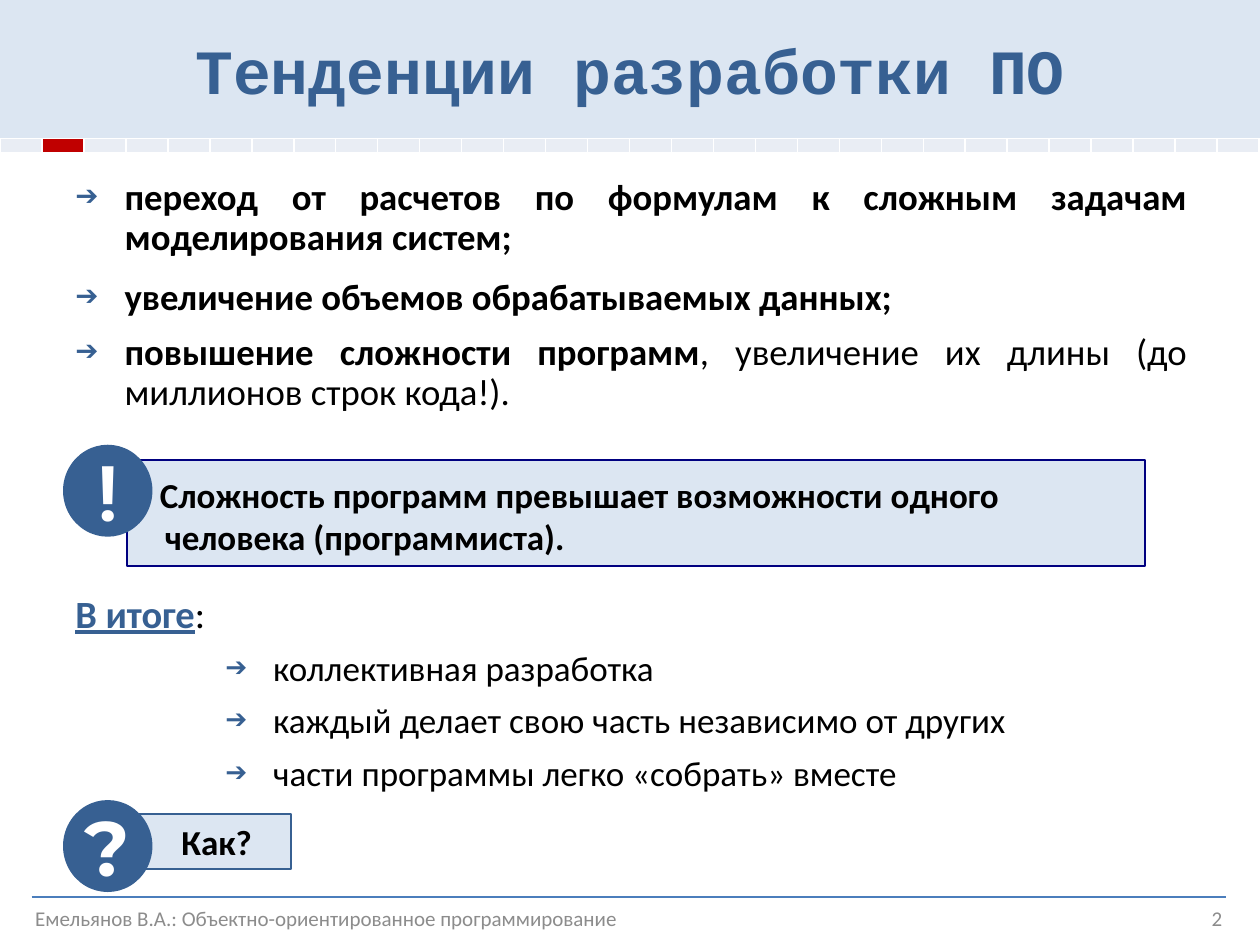
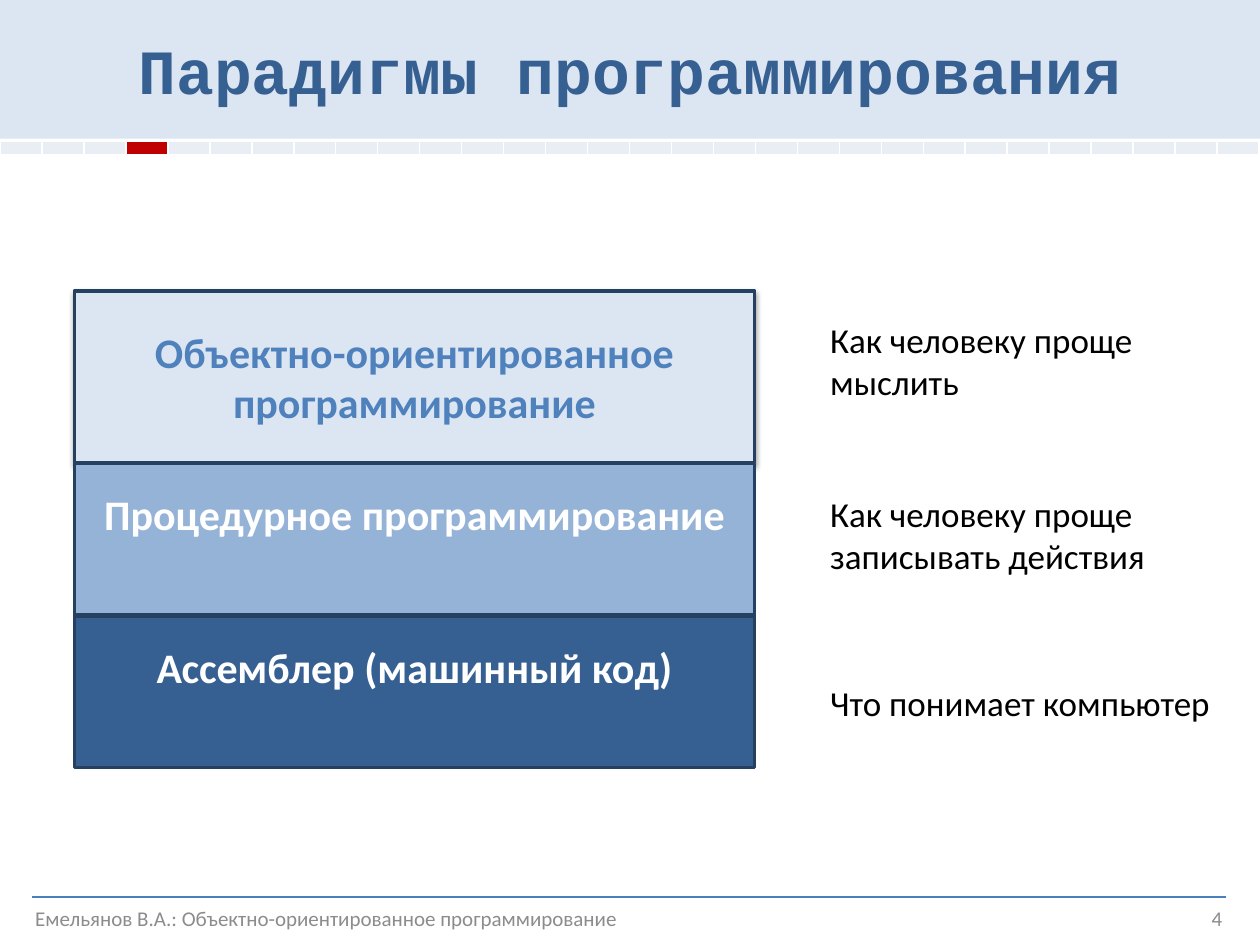
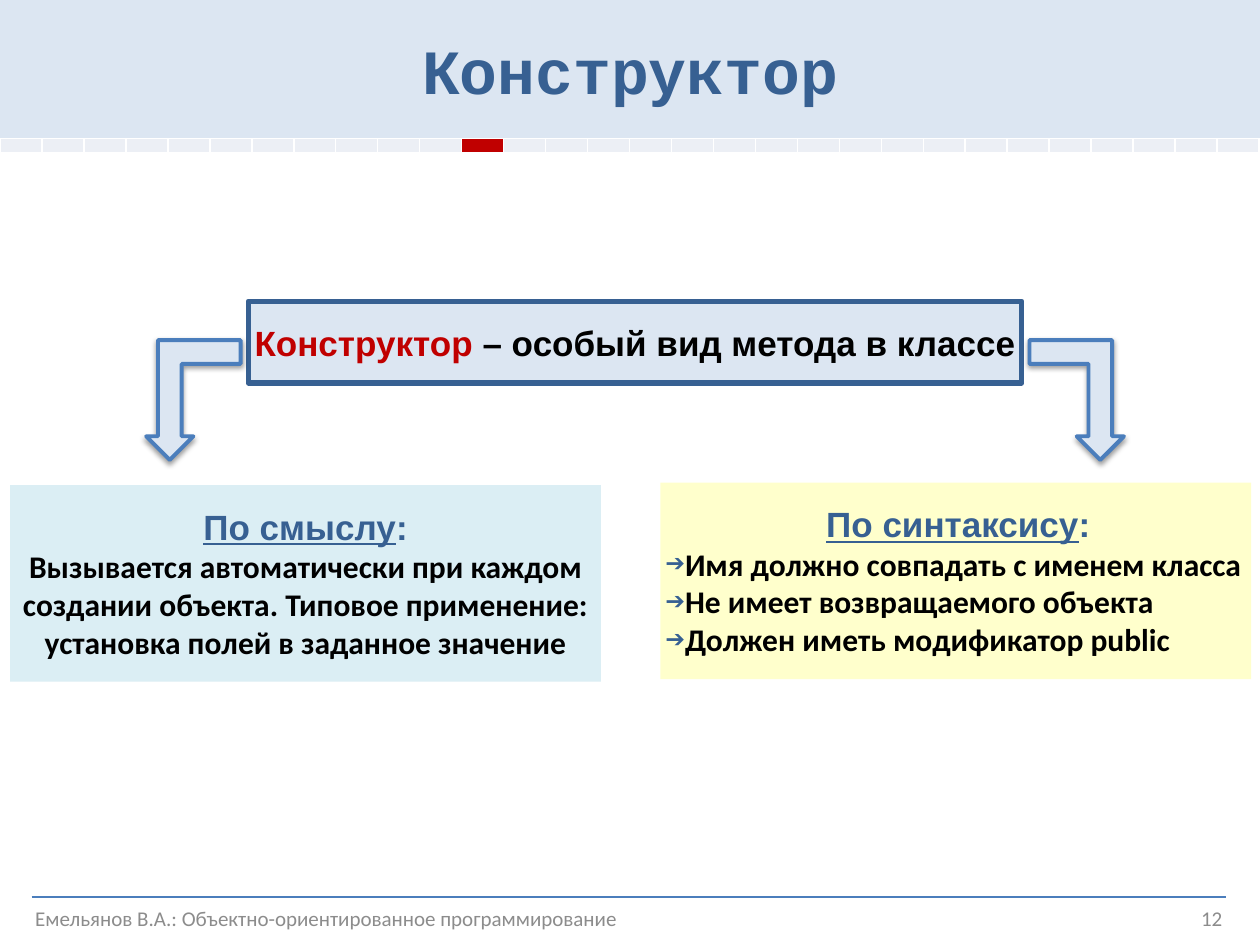
from dataclasses import dataclass, field, replace

from lxml import etree
from pptx import Presentation
from pptx.dml.color import RGBColor
from pptx.enum.shapes import MSO_CONNECTOR as Connector, MSO_SHAPE as Shape
from pptx.enum.text import MSO_ANCHOR as Anchor, MSO_AUTO_SIZE as AutoSize, PP_ALIGN as Align
from pptx.oxml import parse_xml
from pptx.oxml.ns import nsdecls, qn
from pptx.util import Inches, Pt

# Colours
BLUE = RGBColor(0x37, 0x60, 0x92)
PALE_BLUE = RGBColor(0xDC, 0xE6, 0xF2)
MID_BLUE = RGBColor(0x95, 0xB3, 0xD7)
TEXT_BLUE = RGBColor(0x4F, 0x81, 0xBD)
LINE_BLUE = RGBColor(0x4B, 0x7E, 0xBC)
DARK_BLUE = RGBColor(0x25, 0x40, 0x61)
NAVY = RGBColor(0x00, 0x00, 0x80)
RED = RGBColor(0xC0, 0x00, 0x00)
GREY = RGBColor(0x8C, 0x8C, 0x8C)
BLACK = RGBColor(0x00, 0x00, 0x00)
WHITE = RGBColor(0xFF, 0xFF, 0xFF)
AQUA = RGBColor(0xDB, 0xEE, 0xF4)
YELLOW = RGBColor(0xFF, 0xFF, 0xCC)
STEP_GREY = RGBColor(0xE9, 0xED, 0xF4)
STEP_LIGHT = RGBColor(0xEC, 0xEF, 0xF5)

WIDTH, HEIGHT = 10, 7.5
TITLE_HEIGHT = 1.1
STEPS, STEP_HEIGHT = 30, 0.11
FOOTER = "Емельянов В.А.: Объектно-ориентированное программирование"
BULLET, BULLET_FACE, BULLET_PERCENT = "➔", "Arial", 75
INSETS = (0.1, 0.05, 0.1, 0.05)


@dataclass(frozen=True)
class Style:
    size: float
    color: RGBColor = BLACK
    bold: bool = False
    face: str = "Calibri"
    underline: bool = False


@dataclass
class Para:
    runs: list
    align: Align = Align.LEFT
    indent: tuple = (0, 0)
    bullet: bool = False
    after: float = 0
    spacing: float = 1.0


@dataclass
class Title:
    text: str
    step: int
    number: str
    band_top: float = TITLE_HEIGHT
    step_color: RGBColor = field(default=STEP_GREY)


TITLE_STYLE = Style(36, BLUE, True, "Courier New")
FOOTER_STYLE = Style(12, GREY)
BODY = Style(21)
BODY_BOLD = replace(BODY, bold=True)
NOTE = Style(20)
NOTE_BOLD = replace(NOTE, bold=True)
SUMMARY = Style(22)
SUMMARY_LINK = Style(22, BLUE, True, underline=True)
HEADING = Style(20, BLUE, True, "Arial")
HEADING_LINK = replace(HEADING, underline=True)
DETAIL = Style(18, bold=True)

# Content: trends
TRENDS = [
    (0.9, [("переход от расчетов по формулам к сложным задачам моделирования систем;", BODY_BOLD)]),
    (1.0, [("увеличение объемов обрабатываемых данных;", BODY_BOLD)]),
    (0.9, [("повышение сложности программ", BODY_BOLD),
           (", увеличение их длины (до миллионов строк кода!).", BODY)]),
]
WARNING = "Сложность программ превышает возможности одного человека (программиста)."
RESULTS = [
    "коллективная разработка",
    "каждый делает свою часть независимо от других",
    "части программы легко «собрать» вместе",
]
# sign, typeface, top
BADGES = [("!", "Roboto", 3.53), ("?", "Montserrat", 6.35)]

# Content: paradigms, as text, fill, text colour, top, height, top inset, raised
LAYERS = [
    ("Объектно-ориентированное программирование", PALE_BLUE, TEXT_BLUE, 2.31, 1.36, 0.28, True),
    ("Ассемблер (машинный код)", BLUE, WHITE, 4.89, 1.2, 0.2, False),
    ("Процедурное программирование", MID_BLUE, WHITE, 3.68, 1.2, 0.2, False),
]
REMARKS = [
    ("Как человеку проще мыслить", 2.48, 0.77),
    ("Как человеку проще записывать действия", 3.86, 0.77),
    ("Что понимает компьютер", 5.36, 0.44),
]

# Content: constructor
DEFINITION = [("Конструктор ", Style(20, RED, True, "Arial")),
              ("– особый вид метода в классе", Style(20, BLACK, True, "Arial"))]
MEANING = ("Вызывается автоматически при каждом\nсоздании объекта. "
           "Типовое применение:\nустановка полей в заданное значение")
SYNTAX = [
    "Имя должно совпадать с именем класса",
    "Не имеет возвращаемого объекта",
    "Должен иметь модификатор public",
]


def place(left, top, width, height):
    return [Inches(value) for value in (left, top, width, height)]


def add_bullet(paragraph):
    properties = paragraph._p.get_or_add_pPr()
    color = etree.SubElement(properties, qn("a:buClr"))
    etree.SubElement(color, qn("a:srgbClr")).set("val", str(BLUE))
    etree.SubElement(properties, qn("a:buSzPct")).set("val", str(BULLET_PERCENT * 1000))
    etree.SubElement(properties, qn("a:buFont")).set("typeface", BULLET_FACE)
    etree.SubElement(properties, qn("a:buChar")).set("char", BULLET)


def add_run(paragraph, text, style):
    for index, line in enumerate(text.split("\n")):
        if index:
            paragraph.add_line_break()
        run = paragraph.add_run()
        run.text = line
        font = run.font
        font.name, font.size = style.face, Pt(style.size)
        font.bold, font.underline = style.bold, style.underline
        font.color.rgb = style.color


def write(shape, paras, anchor=Anchor.TOP, insets=INSETS, wrap=True):
    frame = shape.text_frame
    frame.word_wrap, frame.auto_size = wrap, AutoSize.NONE
    frame.vertical_anchor = anchor
    (frame.margin_left, frame.margin_top,
     frame.margin_right, frame.margin_bottom) = [Inches(value) for value in insets]
    for index, para in enumerate(paras):
        paragraph = frame.add_paragraph() if index else frame.paragraphs[0]
        paragraph.alignment = para.align
        paragraph.line_spacing = para.spacing
        paragraph.space_before, paragraph.space_after = Pt(0), Pt(para.after)
        properties = paragraph._p.get_or_add_pPr()
        left, first = para.indent
        properties.set("marL", str(Inches(left)))
        properties.set("indent", str(Inches(first)))
        if para.bullet:
            add_bullet(paragraph)
        for text, style in para.runs:
            add_run(paragraph, text, style)


def add_text(slide, box, paras, **options):
    shape = slide.shapes.add_textbox(*place(*box))
    write(shape, paras, **options)


def add_panel(slide, kind, box, fill, line=None, line_width=1.0):
    shape = slide.shapes.add_shape(kind, *place(*box))
    shape.shadow.inherit = False
    shape.fill.solid()
    shape.fill.fore_color.rgb = fill
    if line is None:
        shape.line.fill.background()
    else:
        shape.line.color.rgb = line
        shape.line.width = Pt(line_width)
    return shape


def add_shadow(shape):
    effects = shape._element.spPr.find(qn("a:effectLst"))
    effects.append(parse_xml(
        f'<a:outerShdw {nsdecls("a")} blurRad="{Pt(3.1)}" dist="{Pt(1.6)}" dir="5400000" '
        'rotWithShape="0"><a:srgbClr val="000000"><a:alpha val="38000"/></a:srgbClr></a:outerShdw>'))


def add_progress(slide, title):
    frame = slide.shapes.add_table(
        1, STEPS, *place(0, title.band_top, WIDTH, STEP_HEIGHT))
    table = frame.table
    table.first_row = table.horz_banding = False
    table.rows[0].height = Inches(STEP_HEIGHT)
    for index, cell in enumerate(table.iter_cells()):
        table.columns[index].width = Inches(WIDTH / STEPS)
        cell.margin_left = cell.margin_right = cell.margin_top = cell.margin_bottom = 0
        cell.text_frame.paragraphs[0].font.size = Pt(1)
        properties = cell._tc.get_or_add_tcPr()
        for side in ("lnL", "lnR", "lnT", "lnB"):
            properties.append(parse_xml(
                f'<a:{side} {nsdecls("a")} w="{Pt(1)}"><a:solidFill>'
                f'<a:srgbClr val="{WHITE}"/></a:solidFill></a:{side}>'))
        cell.fill.solid()
        cell.fill.fore_color.rgb = RED if index == title.step else title.step_color


def start_slide(presentation, title):
    """Add a slide with its title, progress band and footer."""
    slide = presentation.slides.add_slide(presentation.slide_layouts[5])
    heading = slide.shapes.title
    heading.left, heading.top, heading.width, heading.height = place(0, 0, WIDTH, TITLE_HEIGHT)
    heading.fill.solid()
    heading.fill.fore_color.rgb = PALE_BLUE
    write(heading, [Para([(title.text, TITLE_STYLE)], Align.CENTER)], anchor=Anchor.MIDDLE)
    add_progress(slide, title)

    add_text(slide, (7.47, 7.09, 2.33, 0.4),
             [Para([(title.number, FOOTER_STYLE)], Align.RIGHT)], anchor=Anchor.MIDDLE)
    add_text(slide, (0.11, 7.08, 4.96, 0.41),
             [Para([(FOOTER, FOOTER_STYLE)], Align.CENTER)], anchor=Anchor.MIDDLE)
    rule = slide.shapes.add_connector(
        Connector.STRAIGHT, Inches(0.25), Inches(7.12), Inches(9.73), Inches(7.12))
    rule.line.color.rgb = LINE_BLUE
    rule.line.width = Pt(0.75)
    etree.SubElement(rule._element.spPr, qn("a:effectLst"))
    return slide


def build_trends(presentation):
    slide = start_slide(presentation, Title("Тенденции разработки ПО", 1, "2"))
    add_text(slide, (0.5, 1.37, 9.02, 1.98),
             [Para(runs, Align.JUSTIFY, (0.39, -0.39), True, 9, spacing)
              for spacing, runs in TRENDS])

    # Warning and question, each with a round badge
    warning = add_panel(slide, Shape.RECTANGLE, (1.01, 3.65, 8.08, 0.84), PALE_BLUE, NAVY)
    write(warning, [Para([(WARNING, NOTE_BOLD)], indent=(0.2, -0.04))],
          insets=(0.1, 0.11, 0.1, 0.05))
    question = add_panel(slide, Shape.RECTANGLE, (1.01, 6.46, 1.3, 0.44), PALE_BLUE, BLUE)
    write(question, [Para([("Как?", NOTE_BOLD)], Align.CENTER)],
          anchor=Anchor.MIDDLE, insets=(0.2, 0.05, 0.08, 0.05))
    for sign, face, top in BADGES:
        badge = add_panel(slide, Shape.OVAL, (0.5, top, 0.71, 0.73), BLUE)
        write(badge, [Para([(sign, Style(44, WHITE, True, face))], Align.CENTER)],
              anchor=Anchor.MIDDLE, wrap=False)

    summary = [Para([("В итоге", SUMMARY_LINK), (":", SUMMARY)], indent=(0.19, -0.19), after=6)]
    summary += [Para([(text, NOTE)], indent=(1.57, -0.38), bullet=True, after=6)
                for text in RESULTS]
    add_text(slide, (0.5, 4.63, 9.22, 1.73), summary)


def build_paradigms(presentation):
    slide = start_slide(
        presentation, Title("Парадигмы программирования", 3, "4", band_top=1.12))
    for text, fill, color, top, height, inset, raised in LAYERS:
        layer = add_panel(slide, Shape.RECTANGLE, (0.59, top, 5.4, height), fill, DARK_BLUE, 2)
        write(layer, [Para([(text, Style(24, color, True))], Align.CENTER)],
              insets=(0.1, inset, 0.1, 0.1))
        if raised:
            add_shadow(layer)
    for text, top, height in REMARKS:
        add_text(slide, (6.49, top, 3.4, height), [Para([(text, NOTE)])])


def build_constructor(presentation):
    slide = start_slide(
        presentation, Title("Конструктор", 11, "12", step_color=STEP_LIGHT))
    definition = add_panel(slide, Shape.RECTANGLE, (1.97, 2.39, 6.14, 0.65), PALE_BLUE, BLUE, 3)
    write(definition, [Para(DEFINITION, Align.CENTER)], insets=(0, 0.16, 0, 0.16))

    # Arrows leading down to both sides
    for left, mirrored in ((1.16, False), (8.17, True)):
        arrow = add_panel(slide, Shape.BENT_UP_ARROW, (left, 2.7, 0.75, 0.95),
                          PALE_BLUE, LINE_BLUE, 2.25)
        arrow.rotation = 180
        if mirrored:
            arrow._element.spPr.find(qn("a:xfrm")).set("flipH", "1")
        add_shadow(arrow)

    meaning = [Para([(MEANING, DETAIL)], Align.CENTER)]
    syntax = [Para([(text, DETAIL)], bullet=True) for text in SYNTAX]
    for heading, details, left, top, fill, insets in (
            ("По смыслу", meaning, 0.08, 3.85, AQUA, (0.1, 0.16, 0.1, 0.16)),
            ("По синтаксису", syntax, 5.24, 3.83, YELLOW, (0.04, 0.16, 0, 0.16))):
        panel = add_panel(slide, Shape.RECTANGLE, (left, top, 4.69, 1.56), fill)
        first = Para([(heading, HEADING_LINK), (":", HEADING)], Align.CENTER)
        write(panel, [first] + details, insets=insets)


def main():
    presentation = Presentation()
    presentation.slide_width, presentation.slide_height = Inches(WIDTH), Inches(HEIGHT)
    build_trends(presentation)
    build_paradigms(presentation)
    build_constructor(presentation)
    presentation.save("out.pptx")


if __name__ == "__main__":
    main()
